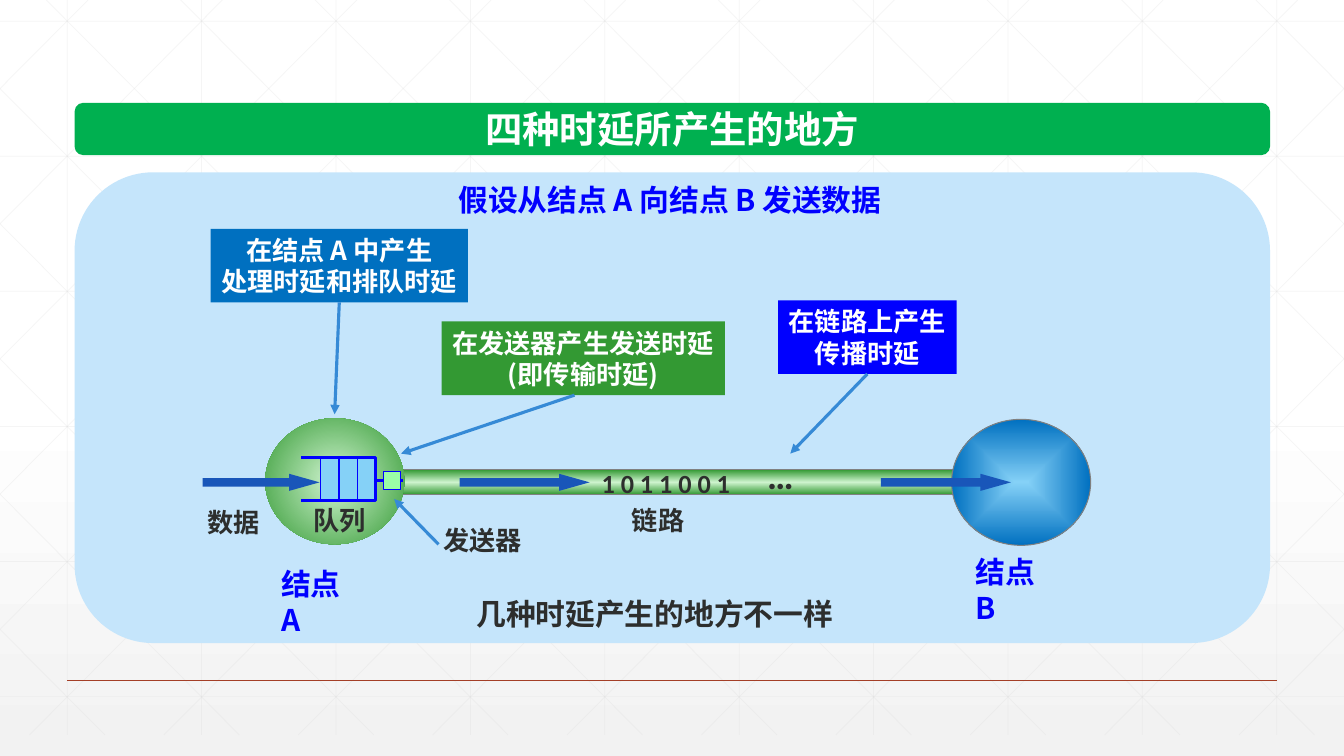
from lxml.etree import SubElement
from pptx import Presentation
from pptx.dml.color import RGBColor
from pptx.enum.shapes import MSO_CONNECTOR as Connector, MSO_SHAPE as Preset
from pptx.enum.text import MSO_ANCHOR as Anchor, MSO_AUTO_SIZE as AutoSize, PP_ALIGN as Align
from pptx.oxml import parse_xml
from pptx.oxml.ns import nsdecls, qn
from pptx.util import Inches, Pt

WIDTH, HEIGHT = Inches(13.333), Inches(7.5)
CJK_FONT = "Noto Sans CJK SC"
COLORS = {
    "white": "FFFFFF", "mist": "F2F2F2", "grid": "D9D9D9", "rule": "A43F27",
    "panel": "C5E5FB", "bar": "00B050", "green": "339933", "pale_green": "CDF3CD",
    "mint": "9AFEA6", "sky": "85D1F7", "blue": "0070C0", "pure_blue": "0000FF",
    "arrow": "1956B9", "pointer": "368AD6", "gray": "808080", "ink": "2D2E2D",
}
VERTICAL = '<a:lin ang="5400000" scaled="0"/>'
CENTERED = '<a:path path="{}"><a:fillToRect l="50000" t="50000" r="50000" b="50000"/></a:path>'


def across(share):
    return round(WIDTH * share / 100)


def down(share):
    return round(HEIGHT * share / 100)


def box(left, top, width, height):
    return across(left), down(top), across(width), down(height)


def rgb(name):
    return RGBColor.from_string(COLORS[name])


def apply(target, values):
    for name, value in values.items():
        setattr(target, name, value)


def set_line(shape, color, width):
    if color:
        shape.line.color.rgb = rgb(color)
        shape.line.width = Pt(width)
    else:
        shape.line.fill.background()


def add_block(slide, preset, area, fill, line=None, adjustments=()):
    shape = slide.shapes.add_shape(preset, *box(*area))
    shape.shadow.inherit = False
    for index, value in enumerate(adjustments):
        shape.adjustments[index] = value
    if fill:
        shape.fill.solid()
        shape.fill.fore_color.rgb = rgb(fill)
    set_line(shape, line, 0.75)
    return shape


def add_gradient_block(slide, preset, area, stops, direction, line=None):
    shape = add_block(slide, preset, area, None, line)
    colors = "".join(
        f'<a:gs pos="{position * 1000}"><a:srgbClr val="{COLORS[name]}"/></a:gs>'
        for position, name in stops)
    shape.element.spPr.insert(2, parse_xml(
        f'<a:gradFill {nsdecls("a")} rotWithShape="1"><a:gsLst>{colors}</a:gsLst>{direction}</a:gradFill>'))


def add_line(slide, start, end, color, width, alpha=None, arrow=False):
    connector = slide.shapes.add_connector(
        Connector.STRAIGHT, across(start[0]), down(start[1]), across(end[0]), down(end[1]))
    set_line(connector, color, width)
    properties = connector.element.spPr
    outline = properties.find(qn("a:ln"))
    if alpha:
        SubElement(next(outline.iter(qn("a:srgbClr"))), qn("a:alpha"), val=str(alpha * 1000))
    if arrow:
        SubElement(outline, qn("a:tailEnd"), type="triangle")
    SubElement(properties, qn("a:effectLst"))
    return connector


def write(shape, lines, size, color, font=CJK_FONT, align=Align.LEFT,
          wrap=False, anchor=Anchor.TOP, spacing=None):
    frame = shape.text_frame
    apply(frame, {"word_wrap": wrap, "auto_size": AutoSize.NONE, "vertical_anchor": anchor,
                  "margin_left": Inches(0.1), "margin_right": Inches(0.1),
                  "margin_top": Inches(0.05), "margin_bottom": Inches(0.05)})
    for index, line in enumerate(lines):
        paragraph = frame.add_paragraph() if index else frame.paragraphs[0]
        apply(paragraph, {"alignment": align, "line_spacing": Pt(spacing or round(size * 1.2, 1))})
        run = paragraph.add_run()
        run.text = line
        apply(run.font, {"size": Pt(size), "bold": True, "name": font})
        run.font.color.rgb = rgb(color)
    for properties in shape.element.iter(qn("a:rPr")):
        SubElement(properties, qn("a:ea"), typeface=CJK_FONT)


def add_label(slide, area, text, size=18.7, color="ink", **style):
    write(slide.shapes.add_textbox(*box(*area)), [text], size, color, **style)


def add_callout(slide, area, lines, fill, tip, start=None):
    shape = add_block(slide, Preset.RECTANGLE, area, fill)
    write(shape, lines, 18.7, "white", align=Align.CENTER, anchor=Anchor.MIDDLE)
    left, top, width, height = area
    middle = (left + width / 2, top + height)
    pointer = add_line(slide, start or middle, tip, "pointer", 2.25, arrow=True)
    if not start:
        pointer.begin_connect(shape, 2)


def add_background(slide):
    fill = slide.background.fill
    fill.gradient()
    fill.gradient_angle = 270
    for stop, position, name in zip(fill.gradient_stops, (0.53, 1), ("white", "mist")):
        stop.position = position
        stop.color.rgb = rgb(name)
    bottom, run, slope = 97.2, 54.35, 97.2 / 54.35
    lines = [((5 + 10 * k, 0), (5 + 10 * k, bottom)) for k in range(10)]
    lines += [((0, 2.8 + 17.87 * k), (100, 2.8 + 17.87 * k)) for k in range(6)]
    for k in range(-5, 10):
        start = 3.45 + 10 * k
        left, right = max(start, 0), min(start + run, 100)
        upper, lower = (left - start) * slope, (right - start) * slope
        lines += [((left, upper), (right, lower)), ((100 - left, upper), (100 - right, lower))]
    for start, end in lines:
        add_line(slide, start, end, "grid", 0.5, alpha=25)
    add_line(slide, (5, 90), (95, 90), "rule", 1)


def add_heading(slide):
    add_block(slide, Preset.ROUNDED_RECTANGLE, (5.55, 22.8, 88.95, 62.27), "panel")
    bar = add_block(slide, Preset.ROUNDED_RECTANGLE, (5.55, 13.6, 88.95, 6.93), "bar",
                    adjustments=[0.167])
    title = slide.shapes.title
    apply(title, dict(zip(("left", "top", "width", "height"), box(35.25, 13.33, 29.55, 7.33))))
    write(title, ["四种时延所产生的地方"], 26.7, "white", font="Arial",
          align=Align.CENTER, anchor=Anchor.MIDDLE)
    bar.element.addnext(title.element)


def add_queue(slide):
    left, top, width, height = 23.85, 60.53, 4.12, 5.73
    right, bottom, mouth = left + width, top + height, 22.43
    add_block(slide, Preset.RECTANGLE, (left, top, width, height), "sky", "pure_blue")
    builder = slide.shapes.build_freeform(across(mouth), down(top))
    builder.add_line_segments(
        [(across(right), down(top)), (across(right), down(bottom)), (across(mouth), down(bottom))],
        close=False)
    outline = builder.convert_to_shape()
    outline.shadow.inherit = False
    outline.fill.background()
    set_line(outline, "pure_blue", 2.25)
    for cell in range(3):
        x = left + width * cell / 3
        add_line(slide, (x, top), (x, bottom), "pure_blue", 0.75)


def add_network(slide):
    add_gradient_block(slide, Preset.RECTANGLE, (29.33, 62.13, 42.08, 3.33),
                       [(0, "green"), (50, "pale_green"), (100, "green")], VERTICAL, "gray")
    add_gradient_block(slide, Preset.OVAL, (19.73, 55.33, 10.35, 16.67),
                       [(2, "pale_green"), (100, "green")], CENTERED.format("circle"))
    add_gradient_block(slide, Preset.OVAL, (70.8, 55.47, 10.35, 16.67),
                       [(0, "sky"), (100, "blue")], CENTERED.format("shape"), "gray")
    add_queue(slide)
    add_line(slide, (27.9, 63.6), (30, 63.6), "pure_blue", 2.25)
    add_block(slide, Preset.RECTANGLE, (28.5, 62.4, 1.28, 2.4), "mint", "pure_blue")
    for left, width in ((34.2, 9.67), (15.08, 8.7), (65.55, 9.67)):
        add_block(slide, Preset.RIGHT_ARROW, (left, 62.67, width, 2.27), "arrow",
                  adjustments=[0.5, 1.78])


def add_labels(slide):
    add_label(slide, (44.03, 61.2, 11.18, 5.6), "1 0 1 1 0 0 1", font="Calibri")
    add_label(slide, (56.33, 59.2, 3.53, 7.33), "…", 26.7, font="Calibri")
    for left, top, width, text in ((32.25, 68.67, 7.43, "发送器"), (22.58, 66, 5.47, "队列"),
                                   (14.7, 66.27, 5.4, "数据"), (46.28, 66, 5.4, "链路")):
        add_label(slide, (left, top, width, 5.6), text)
    for left, top, text in ((71.85, 72.53, "结点 B"), (20.18, 74.13, "结点 A")):
        add_label(slide, (left, top, 7.35, 10.8), text, 21.3, "pure_blue", wrap=True)
    add_label(slide, (31.73, 21.47, 36.23, 7.33), "假设从结点 A 向结点 B 发送数据", 21.3,
              "pure_blue", align=Align.CENTER, wrap=True, spacing=36)
    add_label(slide, (32.78, 78.13, 31.88, 6.13), "几种时延产生的地方不一样", 21.3,
              align=Align.CENTER, wrap=True)


def add_callouts(slide):
    add_callout(slide, (57.9, 39.73, 13.28, 9.73), ["在链路上产生", "传播时延"],
                "pure_blue", (58.8, 60))
    add_callout(slide, (32.85, 42.53, 21.08, 9.73), ["在发送器产生发送时延", "(即传输时延)"],
                "green", (29.85, 60), start=(42.75, 52.27))
    add_callout(slide, (15.68, 30.27, 19.13, 9.73), ["在结点 A 中产生", "处理时延和排队时延"],
                "blue", (24.9, 54.8))
    add_line(slide, (32.63, 72), (29.33, 66), "pointer", 2.25, arrow=True)


def main():
    presentation = Presentation()
    apply(presentation, {"slide_width": WIDTH, "slide_height": HEIGHT})
    slide = presentation.slides.add_slide(presentation.slide_layouts[5])
    add_background(slide)
    add_heading(slide)
    add_network(slide)
    add_labels(slide)
    add_callouts(slide)
    presentation.save("out.pptx")


if __name__ == "__main__":
    main()
